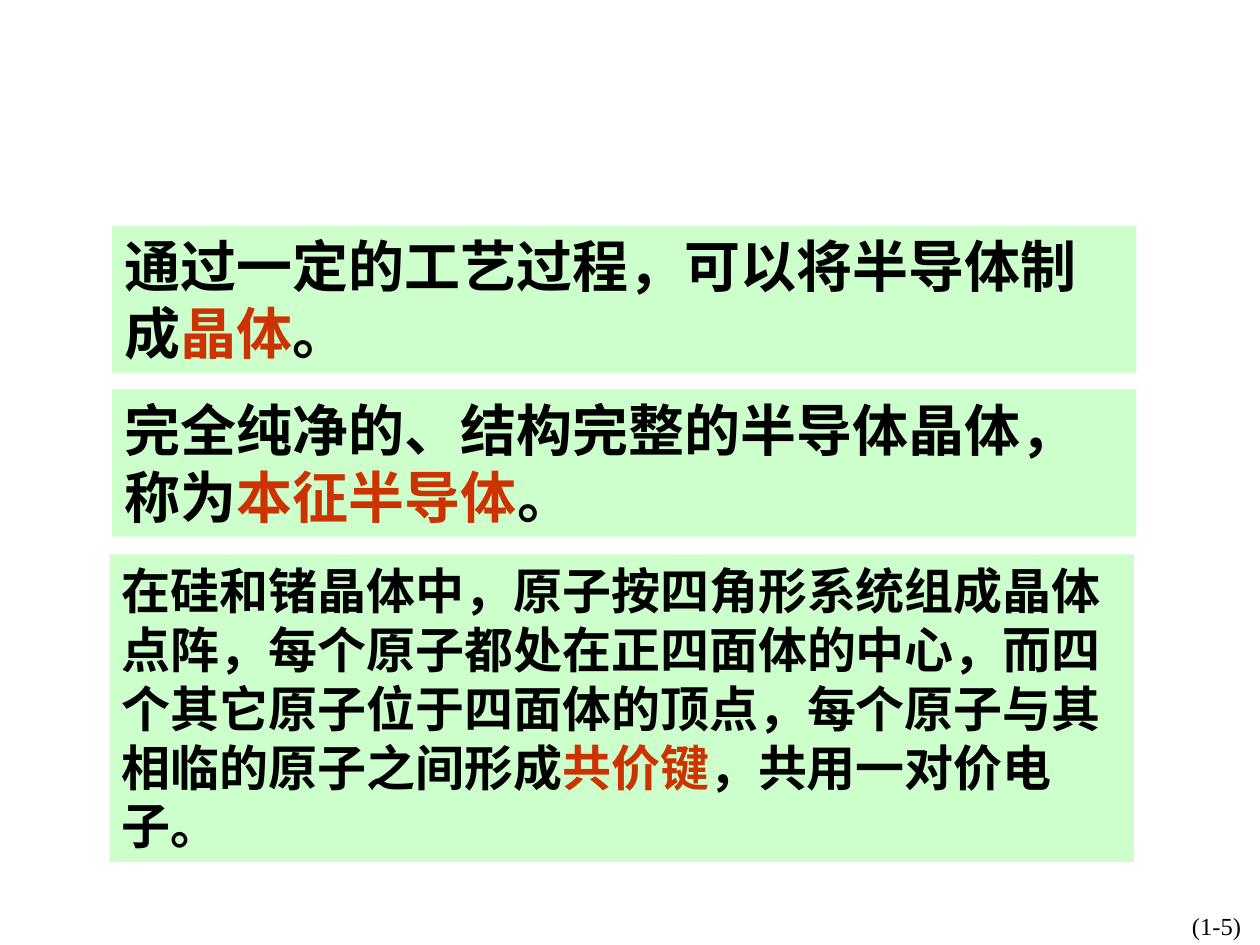
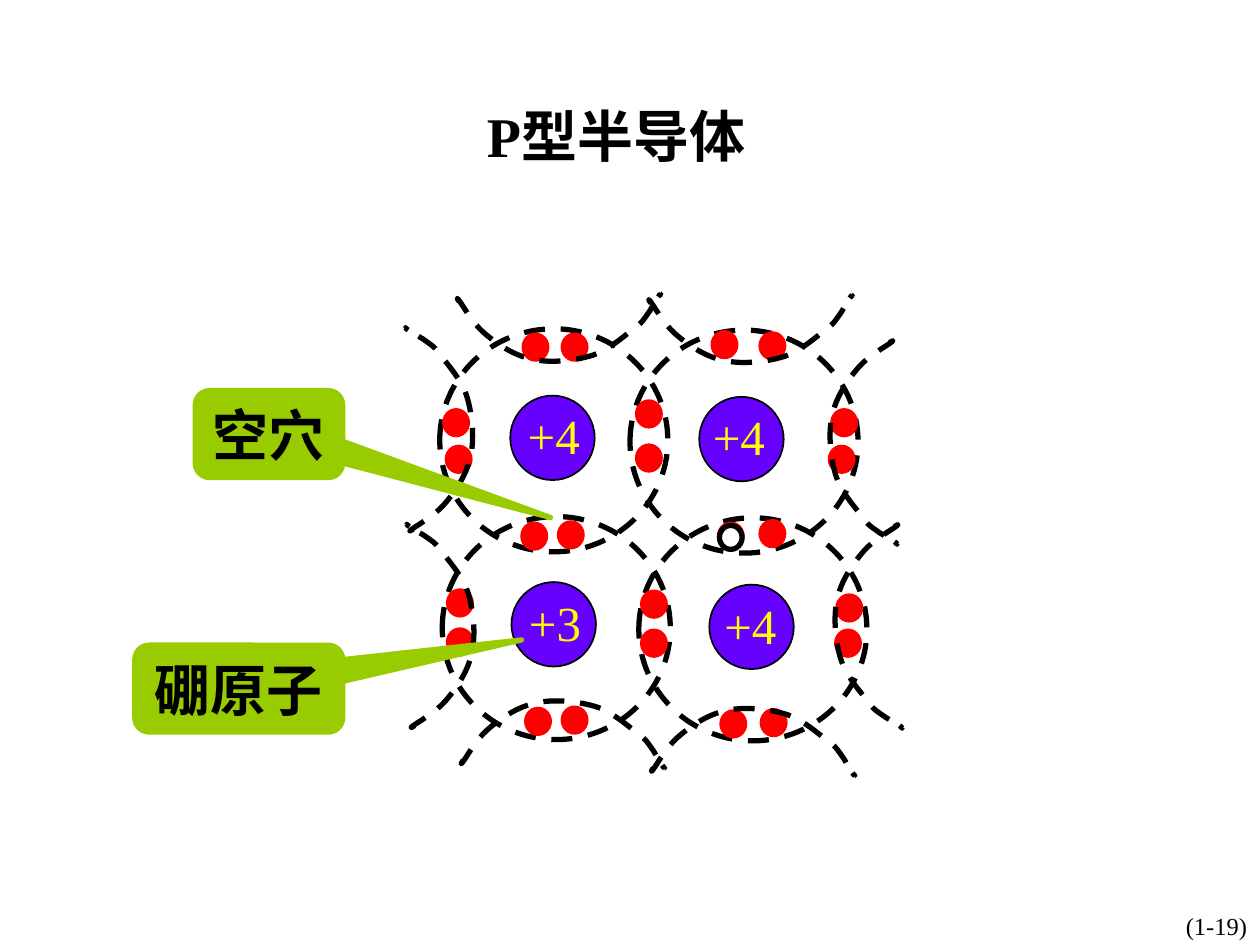
import dataclasses

import pptx
import pptx.dml.color
import pptx.enum.dml
import pptx.enum.lang
import pptx.enum.shapes
import pptx.enum.text
import pptx.oxml
import pptx.oxml.ns
import pptx.util

PX = 9144  # EMU per px, 100 px to the inch
SHAPE = pptx.enum.shapes.MSO_SHAPE
ALIGN = pptx.enum.text.PP_ALIGN
ANCHOR = pptx.enum.text.MSO_ANCHOR


@dataclasses.dataclass(frozen=True)
class Theme:
    font: str = "Times New Roman"
    ink: str = "000000"
    accent: str = "CC3300"
    panel: str = "CCFFCC"
    callout: str = "99CC00"
    ion: str = "6600FF"
    charge: str = "FFFF00"
    electron: str = "FF0000"
    hole: str = "FFFFFF"
    large: int = 32
    medium: int = 28
    small: int = 14
    thick: int = 3
    thin: int = 1


THEME = Theme()

# Bond arc, bulging left: start point, then three points per cubic segment
ARC_W, ARC_H = 56, 163
ARC = [
    (49, 3),
    (50, 2), (54, 0), (50, 3),
    (46, 6), (33, 13), (25, 22),
    (17, 31), (7, 45), (4, 59),
    (0, 73), (2, 93), (6, 107),
    (10, 121), (22, 134), (28, 142),
    (33, 149), (36, 150), (40, 153),
    (44, 156), (51, 159), (53, 161),
    (56, 162), (55, 163), (55, 163),
    (55, 163), (54, 161), (53, 161),
]
# side: mirror across, mirror down, rotation
TURN = {
    "right": (False, False, 0),
    "left": (True, True, 0),
    "top": (False, False, 270),
    "bottom": (False, True, 90),
}


def rgb(colour):
    return pptx.dml.color.RGBColor.from_string(colour)


def lines_to_cubics(sp):
    """Turn every three line segments of an outline into one Bezier segment."""
    qn = pptx.oxml.ns.qn
    path = next(sp.element.iter(qn("a:path")))
    lines = path.findall(qn("a:lnTo"))
    for i in range(0, len(lines), 3):
        curve = pptx.oxml.parse_xml(
            f'<a:cubicBezTo {pptx.oxml.ns.nsdecls("a")}/>')
        lines[i].addprevious(curve)
        for line in lines[i:i + 3]:
            curve.append(line[0])
            path.remove(line)


def write(tf, text, size=THEME.large, bold=False, colour=THEME.ink,
          align=ALIGN.LEFT, anchor=ANCHOR.TOP, wrap=True):
    """Fill a text frame; every second part between | marks is accented."""
    tf.word_wrap = wrap
    tf.vertical_anchor = anchor
    tf.margin_left = tf.margin_right = 10 * PX
    tf.margin_top = tf.margin_bottom = 5 * PX
    p = tf.paragraphs[0]
    p.alignment = align
    p._p.get_or_add_pPr().set("hangingPunct", "0")
    for i, part in enumerate(text.split("|")):
        r = p.add_run()
        r.text = part
        r.font.name = THEME.font
        r.font.size = pptx.util.Pt(size)
        r.font.bold = bold
        r.font.color.rgb = rgb(THEME.accent if i % 2 else colour)
        r.font.language_id = pptx.enum.lang.MSO_LANGUAGE_ID.SIMPLIFIED_CHINESE


class Deck:
    def __init__(self, theme):
        self.theme = theme
        self.prs = pptx.Presentation()
        self.prs.slide_width = 1000 * PX
        self.prs.slide_height = 750 * PX
        self.s = None

    def slide(self, number):
        self.s = self.prs.slides.add_slide(self.prs.slide_layouts[6])
        self.text((869, 718, 193, 33), number, size=self.theme.small,
                  align=ALIGN.CENTER, anchor=ANCHOR.MIDDLE)

    def text(self, box, text, **style):
        sp = self.s.shapes.add_textbox(*(v * PX for v in box))
        write(sp.text_frame, text, **style)

    def paint(self, sp, fill=None, line=None, width=THEME.thick, dash=False):
        sp.shadow.inherit = False
        if fill:
            sp.fill.solid()
            sp.fill.fore_color.rgb = rgb(fill)
        else:
            sp.fill.background()
        if line:
            sp.line.color.rgb = rgb(line)
            sp.line.width = pptx.util.Pt(width)
        else:
            sp.line.fill.background()
        if dash:
            sp.line.dash_style = pptx.enum.dml.MSO_LINE.DASH

    def shape(self, kind, box, **look):
        sp = self.s.shapes.add_shape(kind, *(v * PX for v in box))
        self.paint(sp, **look)
        return sp

    def panel(self, box, text, size=THEME.large):
        sp = self.shape(SHAPE.RECTANGLE, box, fill=self.theme.panel)
        write(sp.text_frame, text, size=size, bold=True)

    def callout(self, box, tip, text):
        colour = self.theme.callout
        sp = self.shape(SHAPE.ROUNDED_RECTANGULAR_CALLOUT, box,
                        fill=colour, line=colour)
        sp.adjustments[0], sp.adjustments[1] = tip
        sp.adjustments[2] = 0.167
        write(sp.text_frame, text, bold=True, align=ALIGN.CENTER,
              anchor=ANCHOR.MIDDLE, wrap=False)

    def ion(self, x, y):
        self.shape(SHAPE.OVAL, (x, y, 67, 67), fill=self.theme.ion,
                   line=self.theme.ink, width=self.theme.thin)

    def orbit(self, x, y):
        self.shape(SHAPE.OVAL, (x, y, 181, 177), line=self.theme.ink, dash=True)

    def particle(self, x, y, fill=THEME.electron, line=THEME.electron):
        self.shape(SHAPE.OVAL, (x, y, 18, 19), fill=fill, line=line)

    def bond(self, side, left, top):
        across, down, rotation = TURN[side]
        points = [(left + (ARC_W - x if across else x),
                   top + (ARC_H - y if down else y)) for x, y in ARC]
        fb = self.s.shapes.build_freeform(*points[0], scale=PX)
        fb.add_line_segments(points[1:], close=False)
        sp = fb.convert_to_shape()
        lines_to_cubics(sp)
        sp.rotation = rotation
        self.paint(sp, line=self.theme.ink, dash=True)


def crystal_slide(deck):
    deck.slide("(1-5)")
    deck.panel((89, 179, 813, 117),
               "通过一定的工艺过程，可以将半导体制成|晶体|。")
    deck.panel((89, 309, 813, 117),
               "完全纯净的、结构完整的半导体晶体，称为|本征半导体|。")
    deck.panel((87, 440, 813, 244),
               "在硅和锗晶体中，原子按四角形系统组成晶体点阵，"
               "每个原子都处在正四面体的中心，而四个其它原子位于四面体的顶点，"
               "每个原子与其相临的原子之间形成|共价键|，共用一对价电子。",
               size=THEME.medium)


def p_type_slide(deck):
    deck.slide("(1-19)")
    # ion corner, orbit corner, charge label corner, charge
    atoms = [
        ((405, 314), (349, 261), (409, 317), "+4"),
        ((555, 315), (500, 262), (556, 318), "+4"),
        ((406, 462), (351, 410), (410, 465), "+3"),
        ((563, 464), (507, 411), (565, 468), "+4"),
    ]
    for ion, orbit, _, _ in atoms:
        deck.ion(*ion)
        deck.orbit(*orbit)

    electron_pairs = [
        ((416, 266), (447, 266)), ((566, 264), (604, 265)),
        ((353, 326), (355, 355)), ((506, 319), (506, 354)),
        ((661, 326), (659, 355)), ((571, 416), (604, 414)),
        ((356, 469), (356, 500)), ((510, 470), (510, 501)),
        ((665, 473), (664, 501)), ((418, 563), (447, 562)),
        ((573, 565), (605, 564)),
    ]
    for pair in electron_pairs:
        for x, y in pair:
            deck.particle(x, y)
    deck.particle(415, 416)

    outer_bonds = {
        "right": [(657, 269), (661, 415)],
        "top": [(415, 179), (567, 180)],
        "bottom": [(418, 501), (569, 507)],
        "left": [(321, 260), (322, 416)],
    }
    for side, corners in outer_bonds.items():
        for left, top in corners:
            deck.bond(side, left, top)

    for _, _, (x, y), charge in atoms:
        deck.text((x, y, 77, 57), charge, size=THEME.medium,
                  colour=THEME.charge)

    deck.callout((155, 310, 117, 69), (1.91, 0.96), "空穴")
    deck.text((371, 75, 236, 64), "P型半导体", bold=True, align=ALIGN.CENTER,
              anchor=ANCHOR.MIDDLE, wrap=False)
    deck.callout((107, 512, 165, 69), (1.36, -0.56), "硼原子")
    deck.particle(571, 417, fill=THEME.hole, line=THEME.ink)
    deck.particle(444, 415)


def main():
    deck = Deck(THEME)
    crystal_slide(deck)
    p_type_slide(deck)
    deck.prs.save("out.pptx")


if __name__ == "__main__":
    main()
